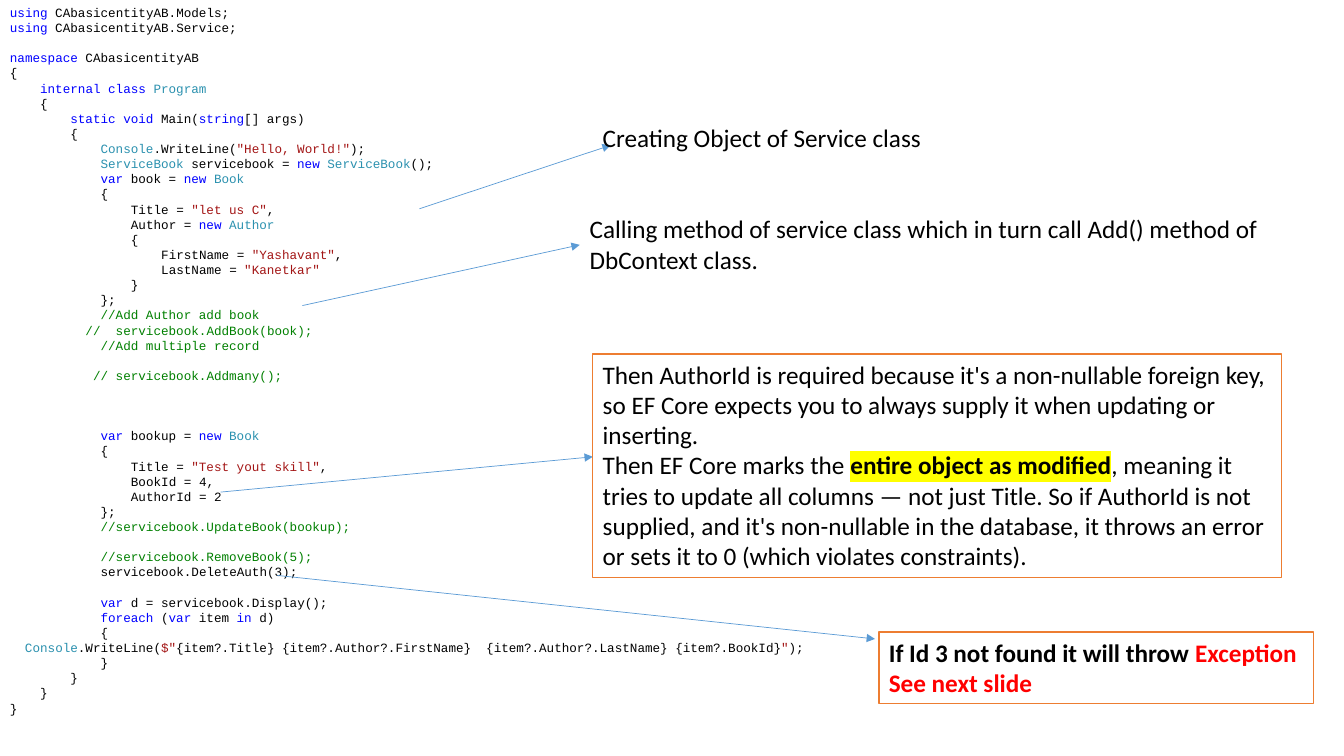
from itertools import groupby

from lxml.etree import SubElement
from pptx import Presentation
from pptx.dml.color import RGBColor
from pptx.enum.shapes import MSO_CONNECTOR, MSO_SHAPE
from pptx.enum.text import MSO_ANCHOR, PP_ALIGN
from pptx.oxml.ns import qn
from pptx.util import Cm, Pt

BLACK, WHITE, RED, YELLOW = "000000", "FFFFFF", "FF0000", "FFFF00"
BLUE, ORANGE = "5B9BD5", "ED7D31"
KEYWORD, TYPE, STRING, COMMENT = "0000FF", "2B91AF", "A31515", "008000"
KEYWORDS = {"using", "namespace", "internal", "class", "static", "void",
            "string", "new", "var", "foreach", "in"}
TYPES = {"Program", "Console", "ServiceBook"}
CODE_PITCH = 10.8

OPENING_CODE = """using CAbasicentityAB.Models;
using CAbasicentityAB.Service;

namespace CAbasicentityAB
{
    internal class Program
    {
        static void Main(string[] args)
        {
            Console.WriteLine("Hello, World!");
            ServiceBook servicebook = new ServiceBook();"""

ADD_CODE = """            var book = new Book
            {
                Title = "let us C",
                Author = new Author
                {
                    FirstName = "Yashavant",
                    LastName = "Kanetkar"
                }
            };
            //Add Author add book
          //  servicebook.AddBook(book);
            //Add multiple record

           // servicebook.Addmany();"""

UPDATE_CODE = """


            var bookup = new Book
            {
                Title = "Test yout skill",
                BookId = 4,
                AuthorId = 2
            };
            //servicebook.UpdateBook(bookup);

            //servicebook.RemoveBook(5);
            servicebook.DeleteAuth(3);"""

DISPLAY_CODE = """
            var d = servicebook.Display();
            foreach (var item in d)
            {
  Console.WriteLine($"{item?.Title} {item?.Author?.FirstName}  {item?.Author?.LastName} {item?.BookId}");
            }
        }
    }
}"""


def colour(value):
    return RGBColor.from_string(value)


def highlight(line):
    """Split a code line into (text, colour) spans."""
    body = line.lstrip()
    if body.startswith("//"):
        return [(line[:len(line) - len(body)], BLACK), (body, COMMENT)]
    tokens, previous, quoted, hole = [], "", False, False
    for _, letters in groupby(line, lambda c: "word" if c.isalnum() else c):
        token = "".join(letters)
        if token == '"':
            quoted = not quoted
        if quoted and token == "{":
            hole = True
        if token in ('"', "$") or quoted and not hole:
            shade = STRING
        elif token in KEYWORDS:
            shade = KEYWORD
        elif token in TYPES or previous == "new" and token.isalnum():
            shade = TYPE
        else:
            shade = BLACK
        tokens.append((token, shade))
        if token == "}":
            hole = False
        if token.strip():
            previous = token
    return [("".join(token for token, _ in group), shade)
            for shade, group in groupby(tokens, lambda item: item[1])]


def add_span(para, text, shade=BLACK, bold=None, marker=None):
    span = para.add_run()
    span.text = text
    span.font.color.rgb = colour(shade)
    if bold is not None:
        span.font.bold = bold
    if marker:
        mark = SubElement(span.font._element, qn("a:highlight"))
        SubElement(mark, qn("a:srgbClr"), val=marker)


def next_para(frame):
    first = frame.paragraphs[0]
    return frame.add_paragraph() if first.runs else first


def add_text_box(page, left, top, width, height):
    box = page.shapes.add_textbox(Cm(left), Cm(top), Cm(width), Cm(height))
    box.text_frame.word_wrap = True
    return box.text_frame


def add_frame(page, left, top, width, height):
    box = page.shapes.add_shape(MSO_SHAPE.RECTANGLE, Cm(left), Cm(top),
                                Cm(width), Cm(height))
    box.shadow.inherit = False
    box.fill.solid()
    box.fill.fore_color.rgb = colour(WHITE)
    box.line.color.rgb = colour(ORANGE)
    box.line.width = Pt(1)
    box.text_frame.word_wrap = True
    box.text_frame.vertical_anchor = MSO_ANCHOR.TOP
    return box.text_frame


def fill_code(frame, code):
    gap = 0
    for line in code.splitlines():
        if not line:
            gap += CODE_PITCH
            continue
        para = next_para(frame)
        para.line_spacing = Pt(CODE_PITCH)
        para.space_before = Pt(gap)
        para.font.name = "Courier New"
        para.font.size = Pt(9)
        for text, shade in highlight(line):
            add_span(para, text, shade)
        gap = 0


def fill_note(frame, paragraphs, bold=None):
    for spans in paragraphs:
        para = next_para(frame)
        para.alignment = PP_ALIGN.LEFT
        para.font.name = "Calibri"
        para.font.size = Pt(18)
        para.font.bold = bold
        for span in spans:
            add_span(para, *span)


def add_arrow(page, *ends):
    arrow = page.shapes.add_connector(MSO_CONNECTOR.STRAIGHT,
                                      *[Cm(value) for value in ends])
    arrow.line.color.rgb = colour(BLUE)
    arrow.line.width = Pt(0.5)
    SubElement(arrow.line._get_or_add_ln(), qn("a:tailEnd"), type="triangle")
    SubElement(arrow._element.spPr, qn("a:effectLst"))


def main():
    deck = Presentation()
    deck.slide_width, deck.slide_height = Cm(33.87), Cm(19.05)
    page = deck.slides.add_slide(deck.slide_layouts[6])

    # Program listing
    listing = add_text_box(page, 0, 0, 32.69, 18.47)
    for code in (OPENING_CODE, ADD_CODE, UPDATE_CODE, DISPLAY_CODE):
        fill_code(listing, code)

    # Service object
    add_arrow(page, 10.57, 5.26, 15.39, 3.66)
    fill_note(add_text_box(page, 14.94, 2.95, 14.25, 1.02),
              [[("Creating Object of Service class",)]])

    # Service method
    add_arrow(page, 7.62, 7.7, 14.61, 6.17)
    fill_note(add_text_box(page, 14.61, 5.26, 17.83, 1.8),
              [[("Calling method of service class which in turn call Add() "
                 "method of DbContext class.",)]])

    # Required foreign key
    add_arrow(page, 5.56, 12.4, 14.94, 11.51)
    fill_note(add_frame(page, 14.94, 8.92, 17.35, 5.64), [
        [("Then AuthorId is required because it's a non-nullable foreign key, "
          "so EF Core expects you to always supply it when updating or "
          "inserting.",)],
        [("Then EF Core marks the ",),
         ("entire object as modified", BLACK, True, YELLOW),
         (", meaning it tries to update all columns — not just Title. So if "
          "AuthorId is not supplied, and it's non-nullable in the database, "
          "it throws an error or sets it to 0 (which violates constraints).",)],
    ])

    # Missing author
    add_arrow(page, 6.99, 14.5, 22.05, 16.1)
    fill_note(add_frame(page, 22.15, 15.93, 10.95, 1.8), [
        [("If Id 3 not found it will throw ",), ("Exception", RED)],
        [("See next slide", RED)],
    ], bold=True)

    deck.save("out.pptx")


if __name__ == "__main__":
    main()
